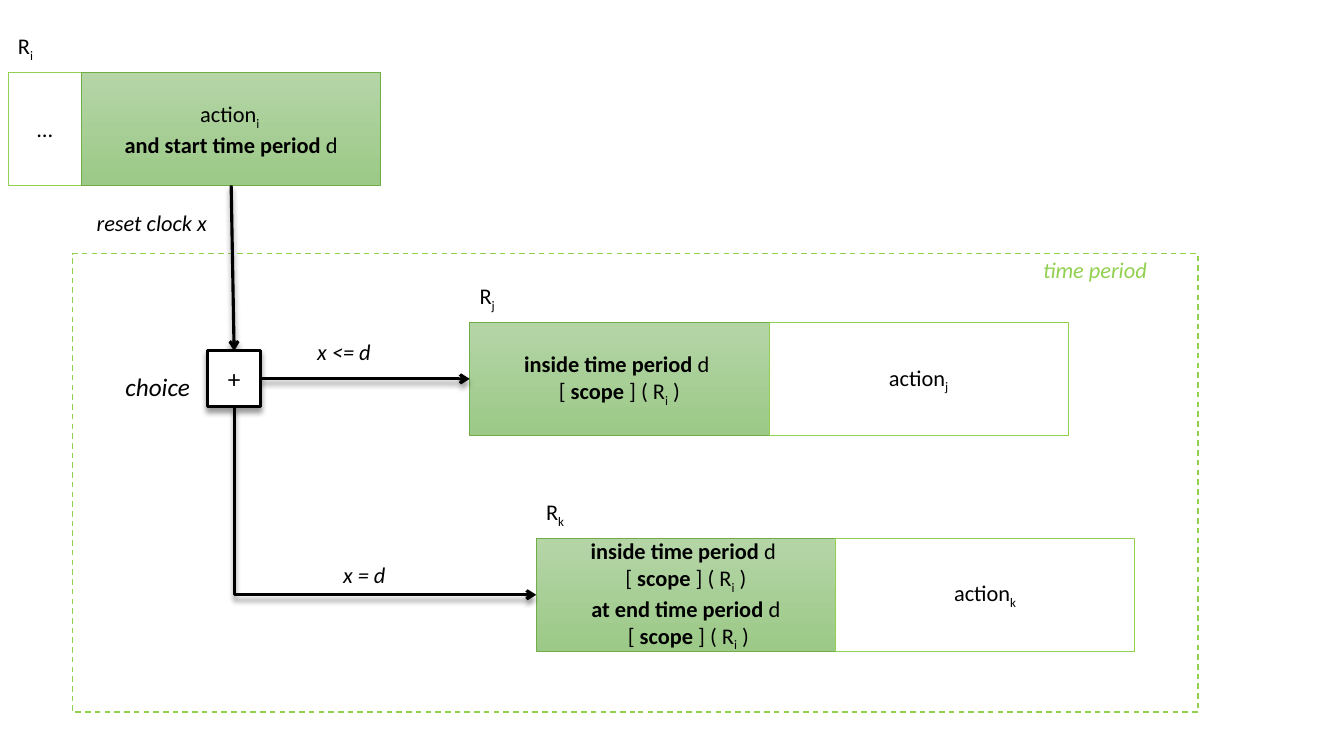
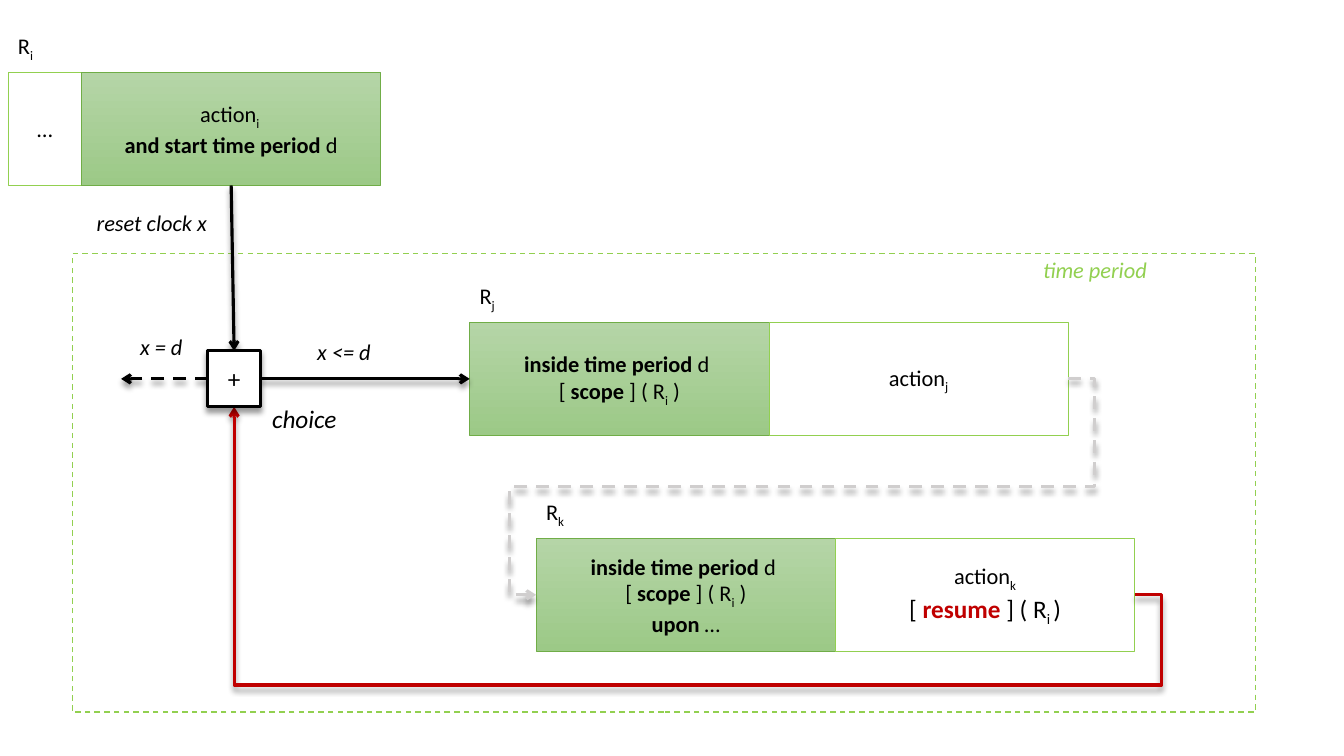
from dataclasses import dataclass
from typing import NamedTuple

from lxml.etree import SubElement as Sub
from pptx import Presentation
from pptx.dml.color import RGBColor as Rgb
from pptx.enum.dml import MSO_LINE as Dash
from pptx.enum.shapes import MSO_CONNECTOR as Conn, MSO_SHAPE as Geom
from pptx.enum.text import MSO_ANCHOR as Anchor, MSO_AUTO_SIZE as Fit, PP_ALIGN as Align
from pptx.oxml.ns import qn
from pptx.shapes.autoshape import Shape
from pptx.shapes.base import BaseShape as Base
from pptx.shapes.shapetree import GroupShapes as Group, SlideShapes as Tree
from pptx.text.text import TextFrame as Frame
from pptx.util import Pt

HUES = {
    "ink": "000000",
    "paper": "FFFFFF",
    "lime": "92D050",
    "edge": "70AD47",
    "top": "B5D5A7",
    "base": "9CC987",
    "red": "C00000",
    "gray": "D0CECE",
}
FONT = "Calibri"
WIDE, HIGH = 213.75, 80.75
STUB = 52.5
RISE = 32
MARK = 30
LINE = 26.6
BOLD = 2.25


class Run(NamedTuple):
    text: str
    bold: bool = False
    sub: bool = False
    size: float = 16
    hue: str = "ink"
    slant: bool = False


Lines = list[list[Run]]


class Cell(NamedTuple):
    wide: float
    lines: Lines
    fill: str = ""


@dataclass(frozen=True)
class Rule:
    mark: str
    left: float
    top: float
    cells: tuple[Cell, ...]

    @property
    def mid(self) -> float:
        return self.top + HIGH / 2

    @property
    def right(self) -> float:
        return self.left + sum(cell.wide for cell in self.cells)


@dataclass(frozen=True)
class Note:
    text: str
    left: float
    top: float
    wide: float
    size: float = 16
    hue: str = "ink"


@dataclass(frozen=True)
class Arrow:
    start: tuple[float, float]
    end: tuple[float, float]
    hue: str = "ink"
    dash: bool = False
    tip: str = "tailEnd"
    bend: int = 0
    turn: bool = False
    bias: tuple[float, ...] = ()


@dataclass(frozen=True)
class Scene:
    span: float
    rules: tuple[Rule, ...]
    arrows: tuple[Arrow, ...]
    notes: tuple[Note, ...]


def color(name: str) -> Rgb:
    return Rgb.from_string(HUES[name])


def write(frame: Frame, lines: Lines, align: Align) -> None:
    for num, line in enumerate(lines):
        para = frame.add_paragraph() if num else frame.paragraphs[0]
        para.alignment = align
        for part in line:
            run = para.add_run()
            run.text = part.text
            font = run.font
            font.name, font.size = FONT, Pt(part.size)
            font.bold, font.italic = part.bold, part.slant
            font.color.rgb = color(part.hue)
            if part.sub:
                run._r.get_or_add_rPr().set("baseline", "-25000")


def shade(item: Base) -> None:
    props = item.element.spPr
    old = props.find(qn("a:effectLst"))
    fx = Sub(props, qn("a:effectLst")) if old is None else old
    cast = Sub(fx, qn("a:outerShdw"), blurRad=str(Pt(4)), dist=str(Pt(3)),
               dir="5400000", algn="t", rotWithShape="0")
    tint = Sub(cast, qn("a:srgbClr"), val=HUES["ink"])
    Sub(tint, qn("a:alpha"), val="40000")


def box(tree: Tree | Group, left: float, top: float, wide: float, high: float,
        fill: str, edge: str, width: float) -> Shape:
    item = tree.add_shape(Geom.RECTANGLE, Pt(left), Pt(top), Pt(wide), Pt(high))
    item.shadow.inherit = False
    if fill == "blend":
        item.fill.gradient()
        item.fill.gradient_angle = 270
        for stop, name in zip(item.fill.gradient_stops, ("top", "base")):
            stop.color.rgb = color(name)
    elif fill:
        item.fill.solid()
        item.fill.fore_color.rgb = color(fill)
    else:
        item.fill.background()
    item.line.color.rgb = color(edge)
    item.line.width = Pt(width)
    item.text_frame.vertical_anchor = Anchor.MIDDLE
    item.text_frame.word_wrap = True
    return item


def label(tree: Tree | Group, left: float, top: float, wide: float,
          line: list[Run]) -> None:
    item = tree.add_textbox(Pt(left), Pt(top), Pt(wide), Pt(LINE))
    frame = item.text_frame
    frame.word_wrap = False
    frame.auto_size = Fit.SHAPE_TO_FIT_TEXT
    write(frame, [line], Align.LEFT)


def draw_rule(tree: Tree, rule: Rule) -> None:
    group = tree.add_group_shape().shapes
    left = rule.left
    for cell in rule.cells:
        green = cell.fill == "blend"
        item = box(group, left, rule.top, cell.wide, HIGH, cell.fill,
                   "edge" if green else "lime", 0.5 if green else 0.25)
        write(item.text_frame, cell.lines, Align.CENTER)
        left += cell.wide
    label(group, rule.left, rule.top - RISE, MARK, [Run("R"), Run(rule.mark, sub=True)])


def draw_arrow(tree: Tree, arrow: Arrow) -> None:
    (ax, ay), (bx, by) = arrow.start, arrow.end
    if arrow.turn:
        mx, my = (ax + bx) / 2, (ay + by) / 2
        dx, dy = (bx - ax) / 2, (by - ay) / 2
        ax, ay, bx, by = mx + dy, my - dx, mx - dy, my + dx
    kind = Conn.ELBOW if arrow.bend else Conn.STRAIGHT
    item = tree.add_connector(kind, Pt(ax), Pt(ay), Pt(bx), Pt(by))
    if arrow.turn:
        item.rotation = 270
    if arrow.bend:
        geom = item.element.spPr.find(qn("a:prstGeom"))
        geom.set("prst", f"bentConnector{arrow.bend}")
        guides = geom.find(qn("a:avLst"))
        if guides is None:
            guides = Sub(geom, qn("a:avLst"))
        for num, bias in enumerate(arrow.bias, 1):
            Sub(guides, qn("a:gd"), name=f"adj{num}", fmla=f"val {round(bias * 100000)}")
    item.line.color.rgb = color(arrow.hue)
    item.line.width = Pt(BOLD)
    if arrow.dash:
        item.line.dash_style = Dash.DASH
    Sub(item.element.spPr.find(qn("a:ln")), qn(f"a:{arrow.tip}"), type="arrow")
    shade(item)


def draw_node(tree: Tree) -> None:
    node = box(tree, NODE_X - 18.75, NODE_Y - 20, 37.5, 40, "paper", "ink", BOLD)
    shade(node)
    write(node.text_frame, [[Run("+", size=18)]], Align.CENTER)


def draw_scene(tree: Tree, scene: Scene) -> None:
    period = box(tree, 51.75, 181.25, scene.span, 327.5, "", "lime", 1)
    period.line.dash_style = Dash.DASH
    for rule in scene.rules:
        draw_rule(tree, rule)
    for arrow in scene.arrows:
        draw_arrow(tree, arrow)
    for note in scene.notes:
        label(tree, note.left, note.top, note.wide,
              [Run(note.text, size=note.size, hue=note.hue, slant=True)])
    draw_node(tree)


def action(mark: str) -> list[Run]:
    return [Run("action"), Run(mark, sub=True)]


def scope(lead: str = "[ ") -> list[Run]:
    return [Run(lead), Run("scope", True), Run(" ] ( R"), Run("i", sub=True), Run(" )")]


def rule_k(more: Lines, extra: Lines) -> Rule:
    return Rule("k", 383, 384.5, (
        Cell(WIDE, INSIDE + more, "blend"),
        Cell(WIDE, [action("k")] + extra, "paper"),
    ))


INSIDE = [[Run("inside time period ", True), Run("d ")], scope()]
START = [action("i "), [Run("and start time period ", True), Run("d")]]
RULE_I = Rule("i", 5.75, 51.75, (Cell(STUB, [[Run("…")]]), Cell(WIDE, START, "blend")))
RULE_J = Rule("j", 335.5, 230.25, (Cell(WIDE, INSIDE, "blend"), Cell(WIDE, [action("j")])))
END_K = rule_k([[Run("at end time period ", True), Run("d")], scope(" [ ")], [])
UPON_K = rule_k([[Run("upon", True), Run(" …")]], [[
    Run("[ ", size=18), Run("resume ", True, size=18, hue="red"),
    Run("] ( R", size=18), Run("i ", sub=True, size=18), Run(")", size=18),
]])

NODE_X, NODE_Y = 167.25, RULE_J.mid
FOOT = (NODE_X, NODE_Y + 20)
ARROWS = (
    Arrow((NODE_X + 18.75, NODE_Y), (RULE_J.left, NODE_Y)),
    Arrow((RULE_I.right - WIDE / 2, RULE_I.top + HIGH), (NODE_X, NODE_Y - 20)),
)
NOTES = (
    Note("reset clock x ", 62, 146, 98),
    Note("x <= d", 219.5, 238, 53.5),
    Note("time period", 738, 179.5, 90, hue="lime"),
)
SCENES = (
    Scene(
        804,
        (RULE_J, RULE_I, END_K),
        ARROWS + (Arrow(FOOT, (END_K.left, END_K.mid), bend=2, turn=True),),
        NOTES + (Note("x = d", 238, 397.5, 45.5), Note("choice", 82.5, 262, 62.5, 18)),
    ),
    Scene(
        845,
        (RULE_J, RULE_I, UPON_K),
        ARROWS + (
            Arrow(FOOT, (UPON_K.right, UPON_K.mid), "red", tip="headEnd",
                  bend=4, turn=True, bias=(1.48, 1.03)),
            Arrow((RULE_J.right, RULE_J.mid), (UPON_K.left, UPON_K.mid), "gray", True,
                  bend=5, bias=(-0.05, 0.5, 1.05)),
            Arrow((NODE_X - 18.75, NODE_Y), (86.5, NODE_Y), dash=True),
        ),
        NOTES + (Note("x = d", 93, 234.5, 45.5), Note("choice", 187.25, 284.5, 62.5, 18)),
    ),
)

deck = Presentation()
deck.slide_width, deck.slide_height = Pt(960), Pt(540)
for scene in SCENES:
    draw_scene(deck.slides.add_slide(deck.slide_layouts[6]).shapes, scene)
deck.save("out.pptx")
